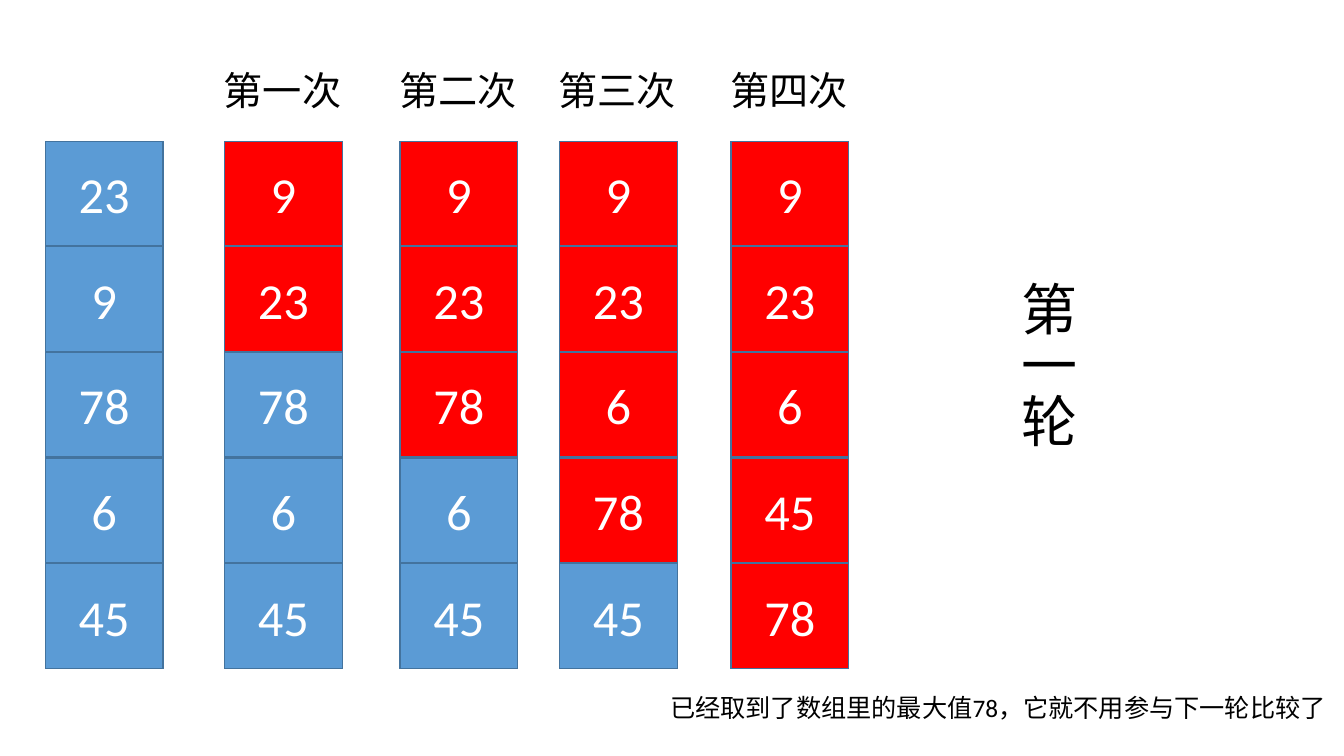
from pptx import Presentation
from pptx import util as u
from pptx.dml.color import RGBColor
from pptx.enum import shapes, text

BLUE = RGBColor(0x5B, 0x9B, 0xD5)
EDGE = RGBColor(0x43, 0x73, 0x9E)
RED = RGBColor(0xFF, 0x00, 0x00)
WHITE = RGBColor(0xFF, 0xFF, 0xFF)
BLACK = RGBColor(0x00, 0x00, 0x00)
FONT = "Calibri"

COLUMN_TOP, COLUMN_WIDTH, COLUMN_HEIGHT = 3.56, 2.97, 13.28
CELL_HEIGHT, CELL_PITCH = 2.64, 2.66
STEPS = [
    (1.14, "", [23, 9, 78, 6, 45], 0),
    (5.66, "第一次", [9, 23, 78, 6, 45], 2),
    (10.08, "第二次", [9, 23, 78, 6, 45], 3),
    (14.1, "第三次", [9, 23, 6, 78, 45], 4),
    (18.42, "第四次", [9, 23, 6, 45, 78], 5),
]


def write(shape, words, size, color):
    """Put one line of styled words into a shape."""
    paragraph = shape.text_frame.paragraphs[0]
    paragraph.text = words
    paragraph.font.size = u.Pt(size)
    paragraph.font.name = FONT
    paragraph.font.color.rgb = color
    return paragraph


def add_label(slide, left, top, width, height, words, size, vertical=False):
    """Add a wrapped text box, optionally with vertical East Asian text."""
    label = slide.shapes.add_textbox(u.Cm(left), u.Cm(top), u.Cm(width), u.Cm(height))
    label.text_frame.word_wrap = True
    if vertical:
        label.text_frame._txBody.bodyPr.set("vert", "eaVert")
    write(label, words, size, BLACK)


def add_block(slide, left, top, width, height, fill):
    """Add an outlined rectangle."""
    block = slide.shapes.add_shape(
        shapes.MSO_SHAPE.RECTANGLE, u.Cm(left), u.Cm(top), u.Cm(width), u.Cm(height))
    block.shadow.inherit = False
    block.fill.solid()
    block.fill.fore_color.rgb = fill
    block.line.color.rgb = EDGE
    block.line.width = u.Pt(1)
    return block


def add_column(slide, left, top, width, height, caption, values, compared):
    """Draw the array after one comparison, with the compared cells in red."""
    add_block(slide, left, top, width, height, BLUE)
    for row, value in enumerate(values):
        fill = RED if row < compared else BLUE
        cell = add_block(slide, left, top + row * CELL_PITCH, width, CELL_HEIGHT, fill)
        cell.text_frame.vertical_anchor = text.MSO_ANCHOR.MIDDLE
        paragraph = write(cell, str(value), 36, WHITE)
        paragraph.alignment = text.PP_ALIGN.CENTER
    if caption:
        add_label(slide, left - 0.27, top - 2.01, width + 0.6, 1.45, caption, 28)


def add_sorting_slide(presentation):
    """Build the slide showing the first round of sorting."""
    slide = presentation.slides.add_slide(presentation.slide_layouts[6])
    for left, caption, values, compared in STEPS:
        add_column(slide, left, COLUMN_TOP, COLUMN_WIDTH, COLUMN_HEIGHT,
                   caption, values, compared)
    add_label(slide, 25.12, 6.83, 2.24, 13.28, "第一轮", 40, vertical=True)
    add_label(slide, 16.64, 17.32, 17.2, 2.74,
              "已经取到了数组里的最大值78，它就不用参与下一轮比较了", 18)


def main():
    """Create and save the presentation."""
    presentation = Presentation()
    presentation.slide_width = u.Cm(33.87)
    presentation.slide_height = u.Cm(19.05)
    add_sorting_slide(presentation)
    presentation.save("out.pptx")


if __name__ == "__main__":
    main()
